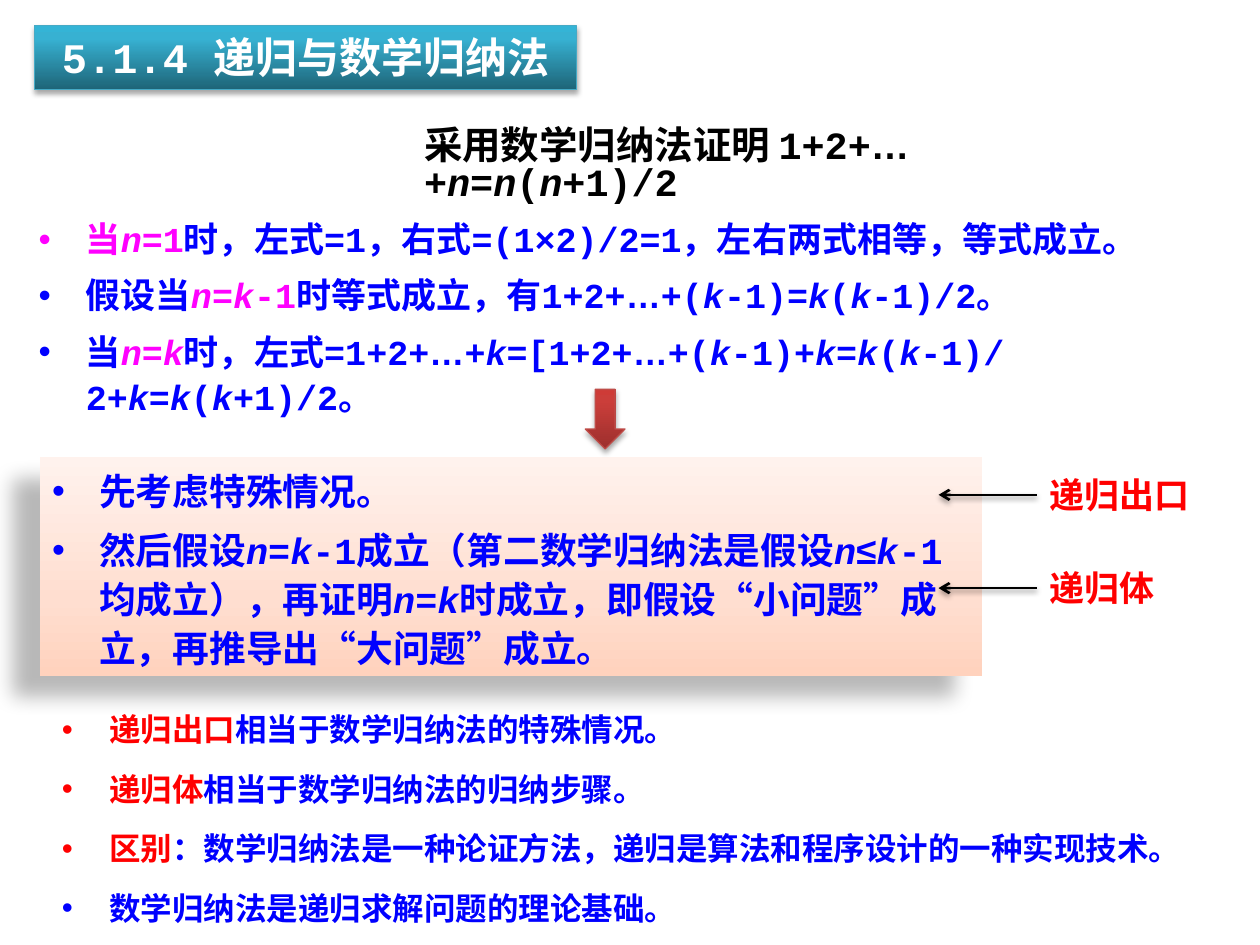
"""Build a slide on recursion and mathematical induction."""
from itertools import groupby
from pptx import Presentation, oxml
from pptx.dml.color import RGBColor
from pptx.enum import shapes, text
from pptx.oxml.ns import nsdecls, qn
from pptx.util import Cm, Pt

WHITE = RGBColor(0xFF, 0xFF, 0xFF)
BLACK = RGBColor(0, 0, 0)
BLUE = RGBColor(0, 0, 0xFF)
RED = RGBColor(0xFF, 0, 0)
PINK = RGBColor(0xFF, 0, 0xFF)
TEAL = RGBColor(0x46, 0xAA, 0xC5)
BRICK = RGBColor(0xBF, 0x4C, 0x48)

TITLE = ["5.1.4 递归与数学归纳法"]
CLAIM = ["采用数学归纳法证明 1+2+…+_n_=_n_(_n_+1)/2"]
PROOF = [
    "^当_n_=1^时，左式=1，右式=(1×2)/2=1，左右两式相等，等式成立。",
    "假设当^_n_=_k_-1^时等式成立，有1+2+…+(_k_-1)=_k_(_k_-1)/2。",
    "当^_n_=_k_^时，左式=1+2+…+_k_=[1+2+…+(_k_-1)+_k_=_k_(_k_-1)/2+_k_=_k_(_k_+1)/2。",
]
STEPS = [
    "先考虑特殊情况。",
    "然后假设_n_=_k_-1成立（第二数学归纳法是假设_n_≤_k_-1均成立），"
    "再证明_n_=_k_时成立，即假设“小问题”成立，再推导出“大问题”成立。",
]
NOTES = [
    "^递归出口^相当于数学归纳法的特殊情况。",
    "^递归体^相当于数学归纳法的归纳步骤。",
    "^区别^：数学归纳法是一种论证方法，递归是算法和程序设计的一种实现技术。",
    "数学归纳法是递归求解问题的理论基础。",
]
LABELS = [("递归出口", 9.42), ("递归体", 11.3)]

TEALS = [(0, "1E6578"), (80, "37B1D2"), (100, "34B4D6")]
PEACH = [(0, "FFD2BD"), (35, "FFDED0"), (100, "FFF2ED")]
REDS = [(0, "9C2F2D"), (80, "CB3E3A"), (100, "CE3B37")]
SOFT = (35, 3.1, 1.8, 90)
DEEP = (28, 11.8, 19.7, 141)
THIN = (38, 3.1, 1.6, 90)


def split(line):
    """Yield text, italic, accent and symbol flags; _ and ^ toggle styles."""
    marks, chars = {"_": False, "^": False}, []
    for char in line:
        if char in marks:
            marks[char] = not marks[char]
        else:
            chars.append((char, marks["_"], marks["^"], char in "…≤"))
    for flags, group in groupby(chars, key=lambda item: item[1:]):
        yield "".join(item[0] for item in group), *flags


def write(shape, lines, size, color, accent=None, lead=None, bullet=False, align=None):
    """Fill a shape with styled paragraphs."""
    frame = shape.text_frame
    frame.word_wrap = True
    frame.auto_size = text.MSO_AUTO_SIZE.SHAPE_TO_FIT_TEXT
    frame.vertical_anchor = text.MSO_ANCHOR.TOP
    for i, line in enumerate(lines):
        para = frame.add_paragraph() if i else frame.paragraphs[0]
        para.alignment = align or text.PP_ALIGN.LEFT
        if lead:
            para.line_spacing = lead
        if bullet:
            para.space_before = Pt(6)
            props = para._p.get_or_add_pPr()
            props.set("marL", str(Cm(0.95)))
            props.set("indent", str(-Cm(0.95)))
            for tag in ('buFont %s typeface="Arial"', 'buChar %s char="•"'):
                props.append(oxml.parse_xml(f"<a:{tag % nsdecls('a')}/>"))
        for words, slant, mark, symbol in split(line):
            run = para.add_run()
            run.text = words
            font = run.font
            font.name = "Arial" if symbol else "Courier New"
            font.size, font.bold, font.italic = Pt(size), True, slant
            font.color.rgb = accent if mark else color


def shade(shape, alpha, blur, dist, angle):
    """Give a shape an outer shadow."""
    props = shape._element.spPr
    for old in props.findall(qn("a:effectLst")):
        props.remove(old)
    props.append(oxml.parse_xml(
        f'<a:effectLst {nsdecls("a")}><a:outerShdw blurRad="{Pt(blur)}" dist="{Pt(dist)}" '
        f'dir="{angle * 60000}" algn="ctr" rotWithShape="0"><a:srgbClr val="000000">'
        f'<a:alpha val="{alpha * 1000}"/></a:srgbClr></a:outerShdw></a:effectLst>'))


def block(slide, kind, place, stops, shadow, edge=None):
    """Add a preset shape with an upward gradient."""
    shape = slide.shapes.add_shape(kind, *map(Cm, place))
    shape.fill.gradient()
    shape.fill.gradient_angle = 90
    ramp = shape._element.spPr.find(".//" + qn("a:gsLst"))
    ramp.clear()
    for pos, color in stops:
        ramp.append(oxml.parse_xml(
            f'<a:gs {nsdecls("a")} pos="{pos * 1000}"><a:srgbClr val="{color}"/></a:gs>'))
    if edge:
        shape.line.color.rgb = edge
        shape.line.width = Pt(0.75)
    else:
        shape.line.fill.background()
    shade(shape, *shadow)
    return shape


def box(slide, place, lines, size, color, **style):
    """Add a text box."""
    shape = slide.shapes.add_textbox(*map(Cm, place))
    write(shape, lines, size, color, **style)
    return shape


def point(slide, label, left):
    """Draw an arrow from a label's left side."""
    mid = label.top + label.height // 2
    line = slide.shapes.add_connector(
        shapes.MSO_CONNECTOR.STRAIGHT, label.left, mid, Cm(left), mid)
    line.begin_connect(label, 1)
    line.line.color.rgb = BLACK
    line.line.width = Pt(1.5)
    line.line._get_or_add_ln().append(
        oxml.parse_xml(f'<a:tailEnd {nsdecls("a")} type="arrow"/>'))
    shade(line, *THIN)


def main():
    """Lay out the slide and save it."""
    deck = Presentation()
    deck.slide_width, deck.slide_height = Cm(25.4), Cm(19.05)
    slide = deck.slides.add_slide(deck.slide_layouts[6])
    kinds = shapes.MSO_SHAPE

    title = block(slide, kinds.RECTANGLE, (0.7, 0.52, 10.92, 1.28), TEALS, SOFT, TEAL)
    write(title, TITLE, 24, WHITE, align=text.PP_ALIGN.CENTER)
    box(slide, (8.3, 2.5, 15.1, 1.02), CLAIM, 22, BLACK, lead=0.8)
    box(slide, (0.53, 4.2, 24.1, 3.4), PROOF, 20, BLUE,
        accent=PINK, lead=Pt(26), bullet=True)
    steps = block(slide, kinds.RECTANGLE, (0.8, 9.22, 19, 4.4), PEACH, DEEP)
    write(steps, STEPS, 21, BLUE, lead=Pt(28), bullet=True)
    block(slide, kinds.DOWN_ARROW, (11.8, 7.85, 0.8, 1.2), REDS, SOFT, BRICK)
    for name, top in LABELS:
        label = box(slide, (20.9, top, 3.38, 1.11), [name], 20, RED)
        point(slide, label, 18.92)
    box(slide, (1, 13.97, 23.4, 4.8), NOTES, 18, BLUE,
        accent=RED, lead=Pt(28), bullet=True)
    deck.save("out.pptx")


if __name__ == "__main__":
    main()
